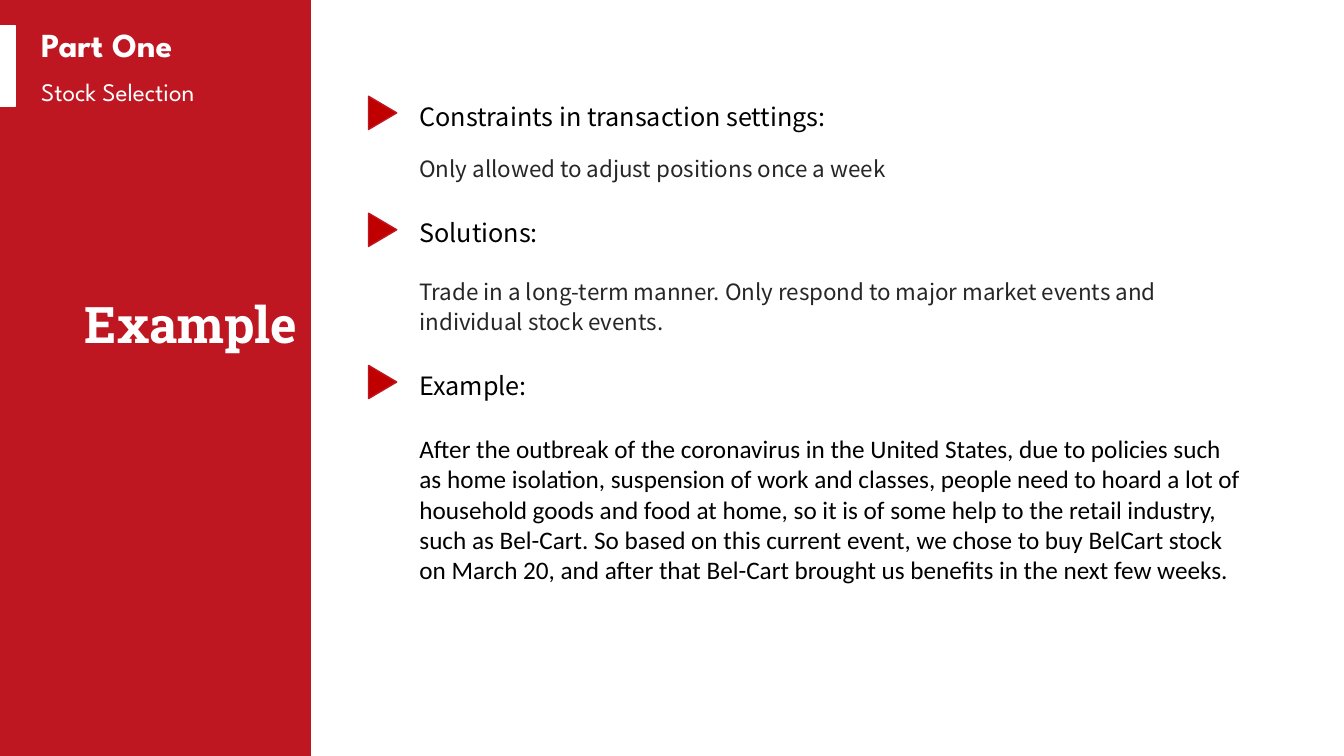
from pptx import Presentation
from pptx.dml.color import RGBColor
from pptx.enum.shapes import MSO_SHAPE as SHAPE
from pptx.enum.text import PP_ALIGN as ALIGN
from pptx.util import Emu, Pt

PX = 9144
RED = RGBColor(0xBE, 0x17, 0x22)
DARK_RED = RGBColor(0xC0, 0x00, 0x00)
WHITE = RGBColor(0xFF, 0xFF, 0xFF)
BLACK = RGBColor(0x00, 0x00, 0x00)
GREY = RGBColor(0x26, 0x26, 0x26)
HEADING = "League Spartan"
BODY = "Noto Sans CJK SC"

SECTIONS = [
    (98, "Constraints in transaction settings:", 52, 70,
     "Only allowed to adjust positions once a week", BODY, 16, GREY, 1.14),
    (214, "Solutions:", 58, 59,
     "Trade in a long-term manner. Only respond to major market events and "
     "individual stock events.", BODY, 16, GREY, 1.14),
    (365, "Example:", 65, 289,
     "After the outbreak of the coronavirus in the United States, due to policies "
     "such as home isolation, suspension of work and classes, people need to hoard "
     "a lot of household goods and food at home, so it is of some help to the retail "
     "industry, such as Bel-Cart. So based on this current event, we chose to buy "
     "BelCart stock on March 20, and after that Bel-Cart brought us benefits in the "
     "next few weeks.", "Calibri", 18, BLACK, 1.0),
]


def px(*lengths):
    """Turn px lengths into EMU."""
    return [Emu(n * PX) for n in lengths]


def add_block(s, kind, box, fill, line, rotation=0):
    """Add a filled shape with a thin outline."""
    sp = s.shapes.add_shape(kind, *px(*box))
    sp.shadow.inherit = False
    sp.rotation = rotation
    sp.fill.solid()
    sp.fill.fore_color.rgb = fill
    sp.line.color.rgb = line
    sp.line.width = Pt(1)


def add_text(s, box, text, font, size, color, bold=False, align=ALIGN.LEFT,
             spacing=1.0, inset=True):
    """Add a wrapped text box holding one paragraph."""
    tf = s.shapes.add_textbox(*px(*box)).text_frame
    tf.word_wrap = True
    if not inset:
        tf.margin_left = tf.margin_top = tf.margin_right = tf.margin_bottom = 0
    p = tf.paragraphs[0]
    p.text = text
    p.alignment = align
    p.line_spacing = spacing
    p.font.name = font
    p.font.size = Pt(size)
    p.font.bold = bold
    p.font.color.rgb = color


def add_sidebar(s, x, y, w, h):
    """Draw the red sidebar with the part label and slide title."""
    add_block(s, SHAPE.RECTANGLE, (x, y, w, h), RED, RED)
    add_block(s, SHAPE.RECTANGLE, (x, y + 25, 15, 81), WHITE, WHITE)
    add_text(s, (x + 31, y + 19, 312, 50), "Part One", HEADING, 24, WHITE, bold=True)
    add_text(s, (x + 31, y + 71, 312, 40), "Stock Selection", HEADING, 18, WHITE)
    add_text(s, (x + 16, y + 286, w - 19, 71), "Example", "Roboto Slab", 36, WHITE,
             bold=True, align=ALIGN.RIGHT)


def add_section(s, x, y, w, heading, gap, height, text, font, size, color, spacing):
    """Draw a triangle marker, its heading and the text below."""
    indent = 53
    add_block(s, SHAPE.ISOSCELES_TRIANGLE, (x, y, 33, 28), DARK_RED, RED, 90)
    add_text(s, (x + indent, y, 570, 30), heading, BODY, 18, BLACK,
             spacing=1.07, inset=False)
    add_text(s, (x + indent, y + gap, w - indent, height), text, font, size, color,
             spacing=spacing, inset=False)


def main():
    """Build and save the slide."""
    prs = Presentation()
    prs.slide_width, prs.slide_height = px(1333, 750)
    s = prs.slides.add_slide(prs.slide_layouts[6])
    add_sidebar(s, 0, 0, 308, 750)
    for y, *content in SECTIONS:
        add_section(s, 363, y, 872, *content)
    prs.save("out.pptx")


if __name__ == "__main__":
    main()
